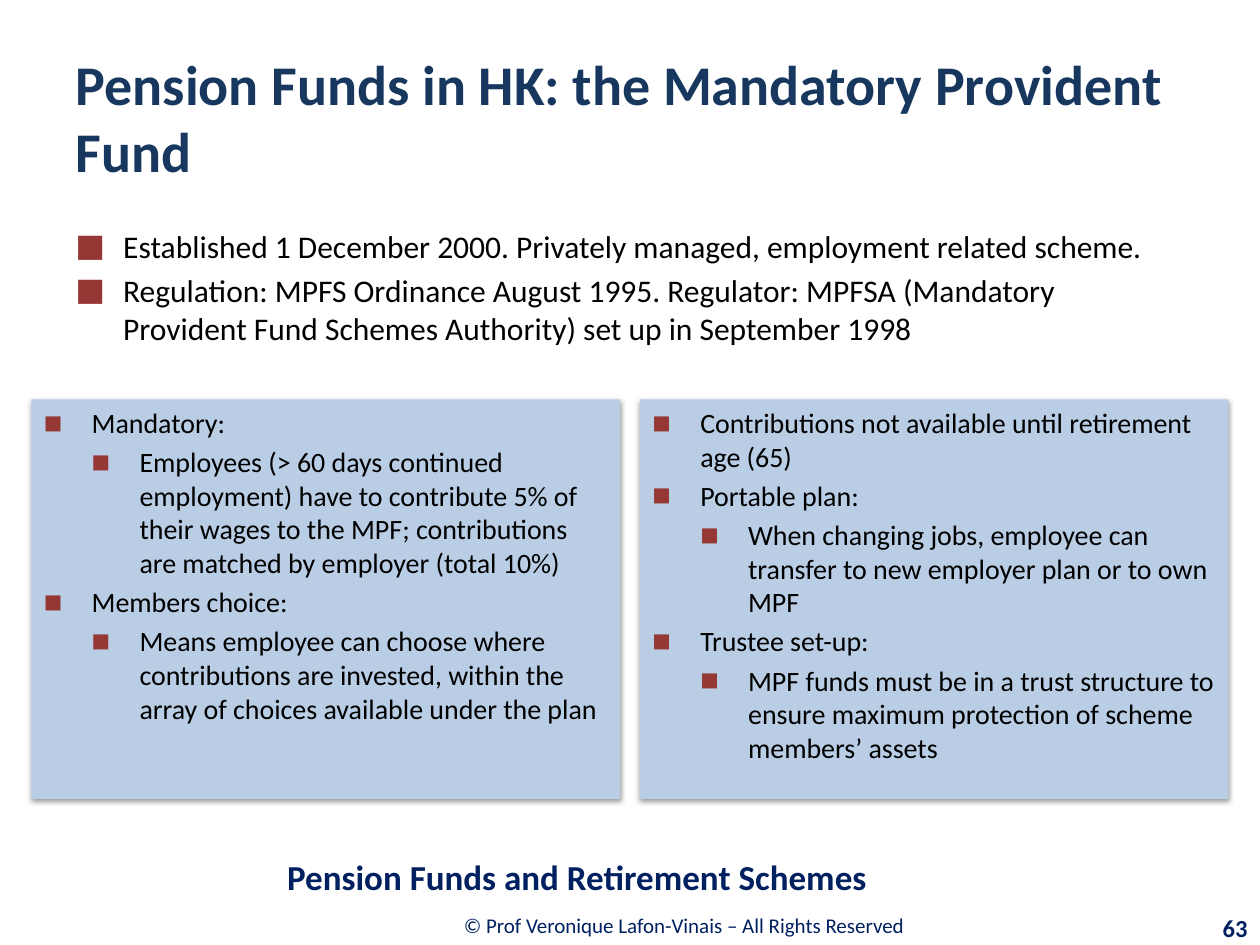
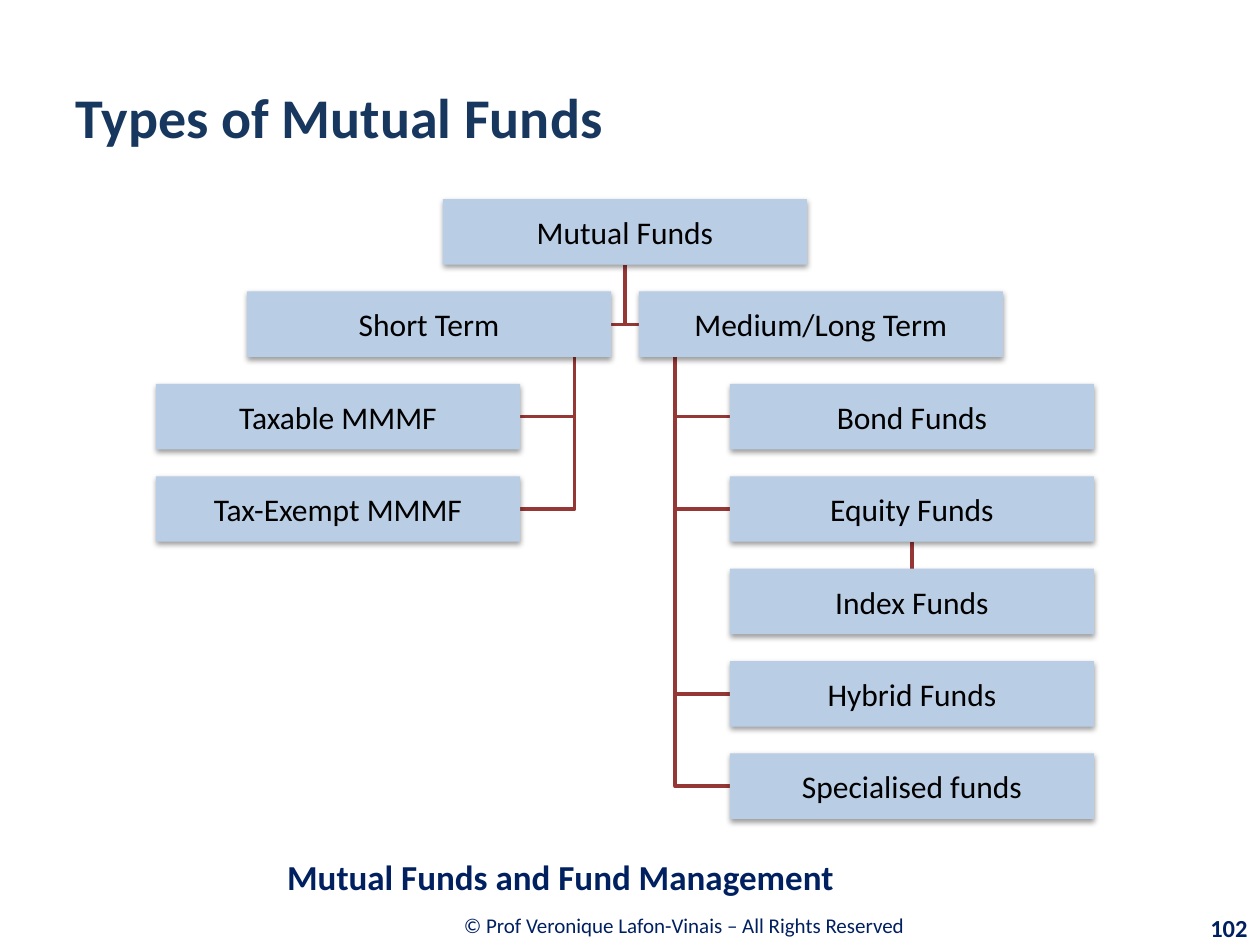
import collections
import lxml.etree
import pptx
import pptx.dml.color
import pptx.enum.shapes
import pptx.enum.text
import pptx.oxml.ns
import pptx.util

RGB = pptx.dml.color.RGBColor
ALIGN = pptx.enum.text.PP_ALIGN
ANCHOR = pptx.enum.text.MSO_ANCHOR
RECT = pptx.enum.shapes.MSO_SHAPE.RECTANGLE
STRAIGHT = pptx.enum.shapes.MSO_CONNECTOR.STRAIGHT
qn = pptx.oxml.ns.qn

BLACK = RGB(0x00, 0x00, 0x00)
WHITE = RGB(0xFF, 0xFF, 0xFF)
TITLE = RGB(0x17, 0x37, 0x5E)
NAVY = RGB(0x00, 0x20, 0x60)
PALE = RGB(0xB9, 0xCD, 0xE5)
RED = RGB(0x95, 0x37, 0x35)
FONT = "Calibri"
CREDIT = "© Prof Veronique Lafon-Vinais – All Rights Reserved"

WIDE, HIGH = pptx.util.Inches(10), pptx.util.Inches(7.5)
INDENT = pptx.util.Inches(0.38)

# All boxes are in hundredths of the slide's width and height.
Box = collections.namedtuple("Box", "x y w h")
HEAD = Box(5, 4, 90, 16.67)
INTRO = Box(5, 23.33, 90, 18)
PANELS = Box(2.5, 42.27, 95, 42.27)
TREE = Box(12.4, 21.07, 74.4, 65.6)
TOPIC = Box(21.8, 89.6, 78.2, 6.27)
FOOT = Box(21.9, 95.33, 64.8, 5.2)
PAGE = Box(90.1, 96, 9.9, 4.27)

FACTS = [
    (0, "Established 1 December 2000. Privately managed, employment related scheme."),
    (0, "Regulation: MPFS Ordinance August 1995. Regulator: MPFSA (Mandatory "
        "Provident Fund Schemes Authority) set up in September 1998"),
]
RULES = [
    [(0, "Mandatory:"),
     (1, "Employees (> 60 days continued employment) have to contribute 5% of "
         "their wages to the MPF; contributions are matched by employer (total 10%)"),
     (0, "Members choice:"),
     (1, "Means employee can choose where contributions are invested, within "
         "the array of choices available under the plan")],
    [(0, "Contributions not available until retirement age (65)"),
     (0, "Portable plan:"),
     (1, "When changing jobs, employee can transfer to new employer plan or to own MPF"),
     (0, "Trustee set-up:"),
     (1, "MPF funds must be in a trust structure to ensure maximum protection "
         "of scheme members’ assets")],
]
# Branch name, side of the trunk (-1 left, 1 right), and leaves as (row, name).
BRANCHES = [
    ("Short Term", -1, [(2, "Taxable MMMF"), (3, "Tax-Exempt MMMF")]),
    ("Medium/Long Term", 1, [(2, "Bond Funds"), (3, "Equity Funds"),
                             (5, "Hybrid Funds"), (6, "Specialised funds")]),
]
SUBFUND = (4, "Index Funds")


def point(x, y):
    return round(WIDE * x / 100), round(HIGH * y / 100)


def emu(box):
    return point(box.x, box.y) + point(box.w, box.h)


def style(para, size, color, bold=False, align=ALIGN.LEFT):
    para.alignment = align
    for run in para.runs:
        font = run.font
        font.name, font.size, font.bold = FONT, pptx.util.Pt(size), bold
        font.color.rgb = color


def label(slide, box, text, size, color, bold=False, align=ALIGN.LEFT):
    frame = slide.shapes.add_textbox(*emu(box)).text_frame
    frame.word_wrap = True
    frame.vertical_anchor = ANCHOR.MIDDLE
    frame.text = text
    style(frame.paragraphs[0], size, color, bold, align)


def bullet(para, level, scale):
    props = para._p.get_or_add_pPr()
    props.set("marL", str(INDENT * (level + 1)))
    props.set("indent", str(-INDENT))
    tint = lxml.etree.SubElement(props, qn("a:buClr"))
    lxml.etree.SubElement(tint, qn("a:srgbClr"), val=str(RED))
    lxml.etree.SubElement(props, qn("a:buSzPct"), val=str(scale * 1000))
    lxml.etree.SubElement(props, qn("a:buFont"), typeface=FONT)
    lxml.etree.SubElement(props, qn("a:buChar"), char="■")


def outline(frame, items, size, scale=100):
    """Fill a frame with bulleted (level, text) items."""
    frame.word_wrap = True
    frame.vertical_anchor = ANCHOR.TOP
    for i, (level, text) in enumerate(items):
        para = frame.add_paragraph() if i else frame.paragraphs[0]
        para.text = text
        para.level = level
        bullet(para, level, scale)
        para.space_before = pptx.util.Pt(size * 0.2 if i else 0)
        style(para, size, BLACK)


def tile(slide, box):
    """Add a pale rectangle with a soft shadow below it."""
    shape = slide.shapes.add_shape(RECT, *emu(box))
    shape.fill.solid()
    shape.fill.fore_color.rgb = PALE
    shape.line.fill.background()
    shape.shadow.inherit = False
    effects = shape._element.spPr.find(qn("a:effectLst"))
    shade = lxml.etree.SubElement(
        effects, qn("a:outerShdw"), blurRad=str(pptx.util.Pt(3.1)),
        dist=str(pptx.util.Pt(1.6)), dir="5400000", rotWithShape="0")
    tint = lxml.etree.SubElement(shade, qn("a:srgbClr"), val=str(BLACK))
    lxml.etree.SubElement(tint, qn("a:alpha"), val="38000")
    return shape.text_frame


def node(slide, box, text):
    frame = tile(slide, box)
    frame.word_wrap = True
    frame.vertical_anchor = ANCHOR.MIDDLE
    frame.margin_left = frame.margin_right = pptx.util.Inches(0.01)
    frame.margin_top = frame.margin_bottom = pptx.util.Inches(0.01)
    frame.text = text
    style(frame.paragraphs[0], 18, BLACK, align=ALIGN.CENTER)


def paint(line):
    line.color.rgb = RED
    line.width = pptx.util.Pt(2)


def elbow(slide, x, top, end, y):
    """Draw a line down from (x, top), then across to (end, y)."""
    pen = slide.shapes.build_freeform(*point(x, top))
    pen.add_line_segments([point(x, y), point(end, y)], close=False)
    shape = pen.convert_to_shape()
    shape.fill.background()
    shape.shadow.inherit = False
    paint(shape.line)


def drop(slide, x, top, end):
    link = slide.shapes.add_connector(STRAIGHT, *point(x, top), *point(x, end))
    paint(link.line)
    lxml.etree.SubElement(link._element.spPr, qn("a:effectLst"))


def panels(slide, box, texts, gap=1.6):
    width = (box.w - gap * (len(texts) - 1)) / len(texts)
    for i, items in enumerate(texts):
        part = Box(box.x + i * (width + gap), box.y, width, box.h)
        outline(tile(slide, part), items, 16, 70)


def tree(slide, box):
    """Draw the fund tree on seven rows, mirrored about its centre line."""
    wide, high, gap = 28.9, 6.93, 2.2
    step = (box.h - high) / 6
    mid = box.x + box.w / 2
    nodes = []

    def top(row):
        return box.y + row * step

    def add(x, row, text):
        nodes.append((Box(x - wide / 2, top(row), wide, high), text))

    add(mid, 0, "Mutual Funds")
    for name, side, leaves in BRANCHES:
        inner = mid + side * gap / 2
        stem = inner + side * wide * 0.1
        edge = stem + side * wide * 0.15
        elbow(slide, mid, top(0) + high, inner, top(1) + high / 2)
        add(inner + side * wide / 2, 1, name)
        for row, text in leaves:
            elbow(slide, stem, top(1) + high, edge, top(row) + high / 2)
            add(edge + side * wide / 2, row, text)

    row, text = SUBFUND
    center = edge + wide / 2
    drop(slide, center, top(row - 1) + high, top(row))
    add(center, row, text)
    for place, text in nodes:
        node(slide, place, text)


def start(deck, title, topic, page):
    """Add a slide with the shared title style and footers."""
    slide = deck.slides.add_slide(deck.slide_layouts[5])
    slide.background.fill.solid()
    slide.background.fill.fore_color.rgb = WHITE
    head = slide.shapes.title
    head.left, head.top, head.width, head.height = emu(HEAD)
    head.text_frame.text = title
    head.text_frame.word_wrap = True
    head.text_frame.vertical_anchor = ANCHOR.MIDDLE
    style(head.text_frame.paragraphs[0], 32, TITLE, True)
    label(slide, TOPIC, topic, 20, NAVY, True)
    label(slide, FOOT, CREDIT, 12, NAVY, align=ALIGN.CENTER)
    label(slide, PAGE, str(page), 14, NAVY, True, ALIGN.RIGHT)
    return slide


def pension(deck):
    slide = start(deck, "Pension Funds in HK: the Mandatory Provident Fund",
                  "Pension Funds and Retirement Schemes", 63)
    outline(slide.shapes.add_textbox(*emu(INTRO)).text_frame, FACTS, 18)
    panels(slide, PANELS, RULES)


def mutual(deck):
    slide = start(deck, "Types of Mutual Funds",
                  "Mutual Funds and Fund Management", 102)
    tree(slide, TREE)


def main():
    deck = pptx.Presentation()
    deck.slide_width, deck.slide_height = WIDE, HIGH
    pension(deck)
    mutual(deck)
    deck.save("out.pptx")


if __name__ == "__main__":
    main()
